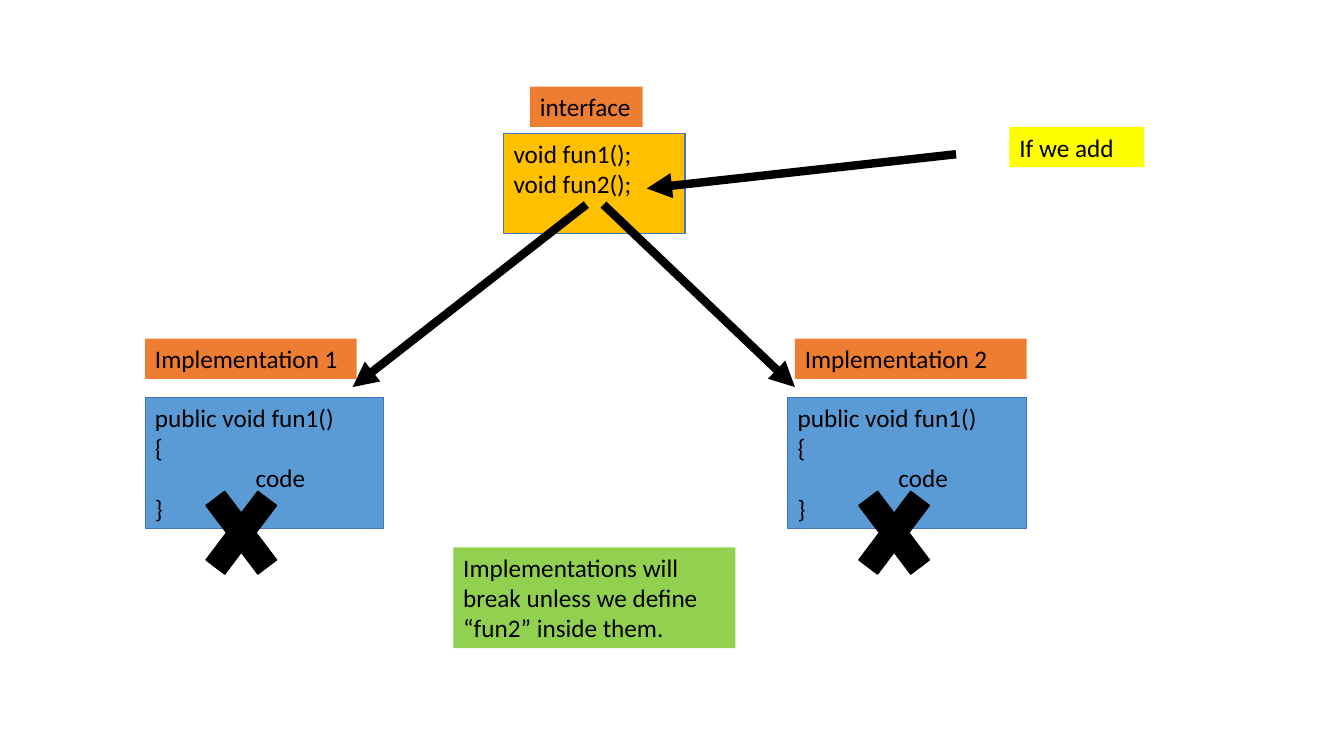
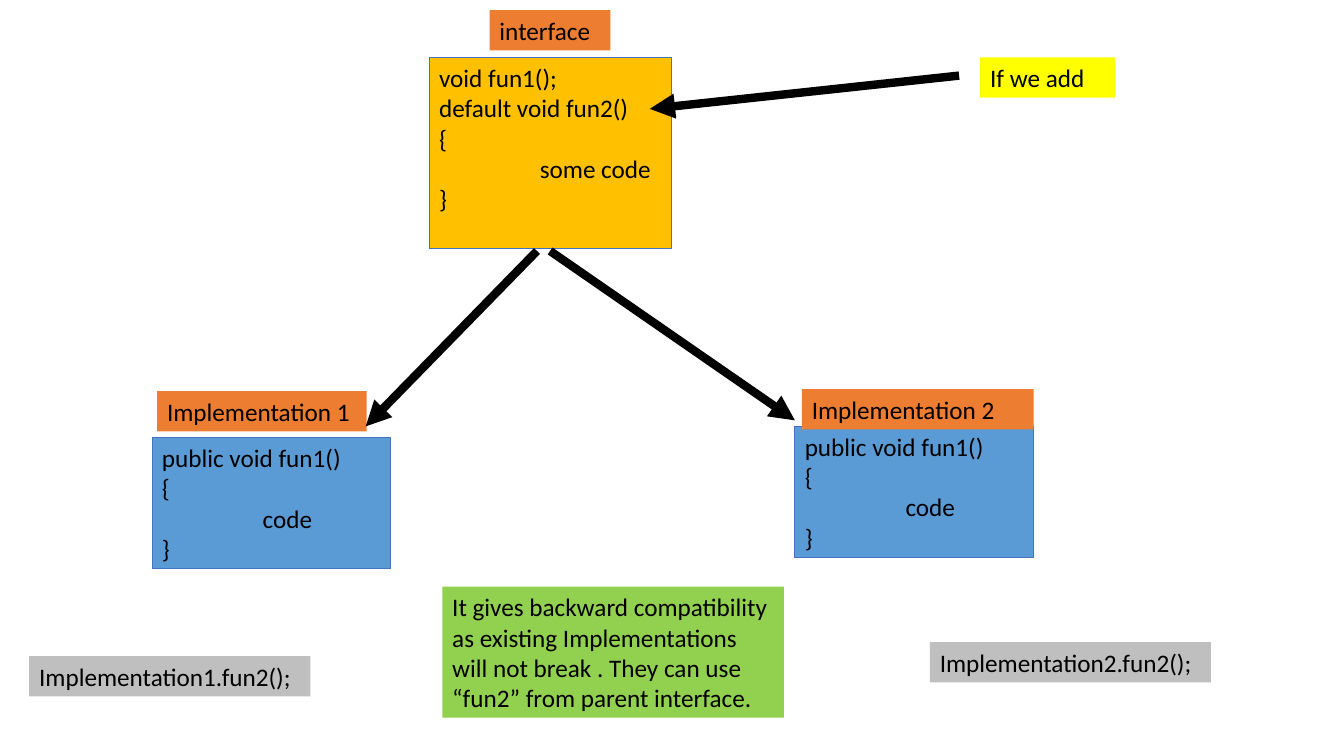
from pptx import Presentation
from pptx.dml.color import RGBColor
from pptx.enum.shapes import MSO_CONNECTOR, MSO_SHAPE
from pptx.enum.text import MSO_ANCHOR, PP_ALIGN
from pptx.oxml.ns import qn
from pptx.util import Inches, Pt
from lxml.etree import SubElement

# Shared style: all lengths below are counted in grid cells
COLS, ROWS = 133.4, 75
CELL = Inches(0.1)
TAB = 10
LABEL_H = 4
FONT = "Calibri"
COLORS = {
    "ink": "000000",
    "outline": "4472C4",
    "label": "ED7D31",
    "interface": "FFC000",
    "implementation": "5B9BD5",
    "note": "FFFF00",
    "result": "92D050",
    "call": "BFBFBF",
}
BODY = ["public void fun1()", "{", "\tcode", "}"]


def cells(*counts):
    return [round(n * CELL) for n in counts]


def color(name):
    return RGBColor.from_string(COLORS[name])


def add_shape(s, kind, box, fill, line=None, width=0.75):
    sp = s.shapes.add_shape(kind, *cells(*box))
    sp.shadow.inherit = False
    sp.fill.solid()
    sp.fill.fore_color.rgb = color(fill)
    if line:
        sp.line.color.rgb = color(line)
        sp.line.width = Pt(width)
    else:
        sp.line.fill.background()
    return sp


def add_text(s, lines, box, fill, line=None, size=18, ink="ink"):
    """Filled box with one paragraph for each line."""
    tf = add_shape(s, MSO_SHAPE.RECTANGLE, box, fill, line).text_frame
    tf.word_wrap = True
    tf.vertical_anchor = MSO_ANCHOR.TOP
    for i, text in enumerate(lines):
        p = tf.add_paragraph() if i else tf.paragraphs[0]
        p.alignment = PP_ALIGN.LEFT
        if "\t" in text:
            tabs = SubElement(p._p.get_or_add_pPr(), qn("a:tabLst"))
            SubElement(tabs, qn("a:tab"), pos=str(cells(TAB)[0]), algn="l")
        r = p.add_run()
        r.text = text
        r.font.name = FONT
        r.font.size = Pt(size)
        r.font.color.rgb = color(ink)


def add_arrow(s, start, end):
    c = s.shapes.add_connector(MSO_CONNECTOR.STRAIGHT, *cells(*start, *end))
    c.line.color.rgb = color("ink")
    c.line.width = Pt(6)
    SubElement(c.line._get_or_add_ln(), qn("a:tailEnd"), type="triangle")
    SubElement(c._element.spPr, qn("a:effectLst"))


def add_labelled(s, box, fill, lines, title, tag):
    """Code box with a title tag: tag is its shift right, rise and width."""
    x, y = box[:2]
    shift, rise, width = tag
    add_text(s, lines, box, fill, line="outline")
    add_text(s, [title], (x + shift, y - rise, width, LABEL_H), "label")


def add_interface(s, box, lines, tag):
    add_labelled(s, box, "interface", lines, "interface", tag)


def add_implementation(s, corner, number, tag):
    add_labelled(s, (*corner, 23.7, 13), "implementation", BODY,
                 f"Implementation {number}", tag)


def add_note(s, corner):
    add_text(s, ["If we add"], (*corner, 13.4, LABEL_H), "note")


def add_cross(s, corner):
    add_shape(s, MSO_SHAPE.MATH_MULTIPLY, (*corner, 9.9, 13.1), "ink", "ink", 1)


def add_call(s, corner, number):
    add_text(s, [f"Implementation{number}.fun2();"],
             (*corner, 27.9, LABEL_H), "call")


def breaking_slide(s):
    add_interface(s, (50, 13.2, 18, 10), ["void fun1();", "void fun2();"],
                  (2.6, 4.6, 11.2))
    add_implementation(s, (14.4, 39.4), 1, (0, 5.8, 21))
    add_implementation(s, (78.2, 39.4), 2, (0.7, 5.8, 23))
    # Arrows
    add_arrow(s, (59.9, 20.3), (78.9, 38.4))
    add_arrow(s, (58.2, 20.3), (35, 38.4))
    add_arrow(s, (94.9, 15.3), (64.2, 18.7))
    add_note(s, (100.2, 12.6))
    # Broken implementations
    for x in (83.8, 19):
        add_cross(s, (x, 46.3))
    add_text(s, ["Implementations will break unless we define “fun2” inside them."],
             (45, 54.3, 28, 10), "result")


def compatible_slide(s):
    add_interface(s, (42.6, 5.7, 24.1, 19),
                  ["void fun1();", "default void fun2()", "{", "\tsome code", "}"],
                  (6, 4.7, 12))
    add_implementation(s, (15.1, 43.4), 1, (0.5, 4.6, 20.8))
    add_implementation(s, (78.9, 42.3), 2, (0.7, 3.7, 23))
    # Arrows
    add_arrow(s, (95.2, 7.5), (64.5, 10.8))
    add_arrow(s, (53.3, 24.9), (36.3, 42.3))
    add_arrow(s, (54.6, 24.9), (78.9, 41.7))
    add_note(s, (97.3, 5.7))
    # Result and calls
    add_text(s, ["It gives backward compatibility as existing Implementations "
                 "will not break . They can use “fun2” from parent interface."],
             (43.9, 58.2, 33.9, 13), "result")
    add_call(s, (2.9, 65.1), 1)
    add_call(s, (92.3, 63.7), 2)


def main():
    prs = Presentation()
    prs.slide_width, prs.slide_height = cells(COLS, ROWS)
    blank = prs.slide_layouts[6]
    for build in (breaking_slide, compatible_slide):
        build(prs.slides.add_slide(blank))
    prs.save("out.pptx")


if __name__ == "__main__":
    main()
